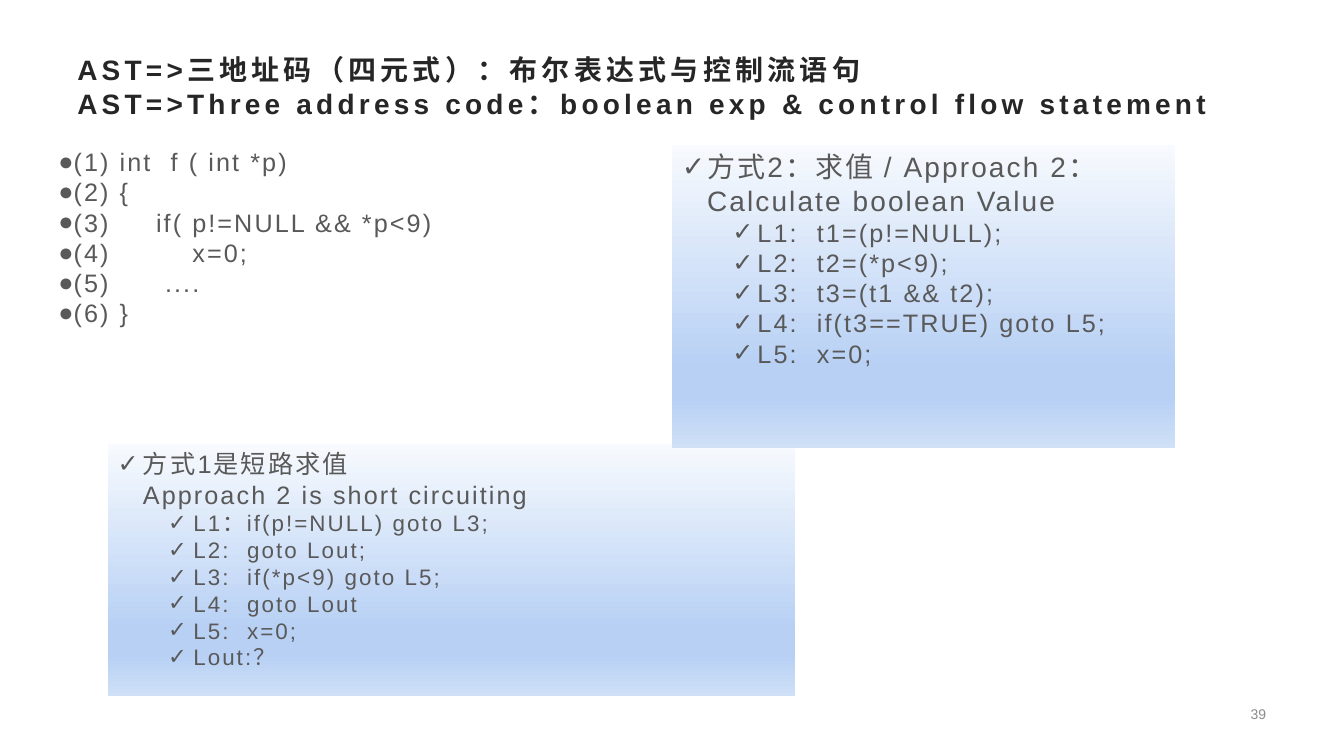
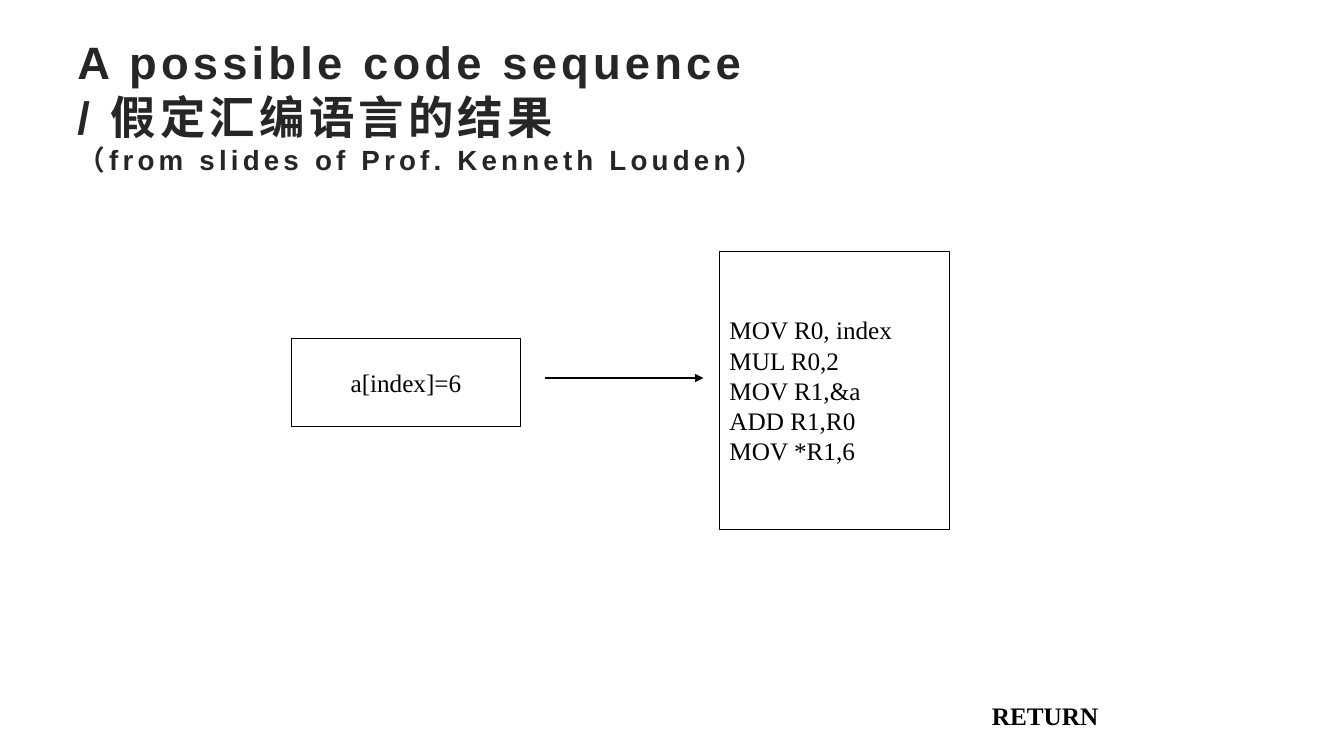
from copy import deepcopy
from dataclasses import dataclass
from typing import Optional

from lxml import etree
from pptx import Presentation
from pptx.dml.color import RGBColor
from pptx.enum.shapes import MSO_CONNECTOR, MSO_SHAPE
from pptx.enum.text import MSO_ANCHOR, MSO_AUTO_SIZE, PP_ALIGN
from pptx.oxml.ns import qn
from pptx.util import Pt

RECT, STRAIGHT = MSO_SHAPE.RECTANGLE, MSO_CONNECTOR.STRAIGHT
TOP, MIDDLE = MSO_ANCHOR.TOP, MSO_ANCHOR.MIDDLE
LEFT, CENTER, RIGHT = PP_ALIGN.LEFT, PP_ALIGN.CENTER, PP_ALIGN.RIGHT
NO_FIT = MSO_AUTO_SIZE.NONE

SANS, SERIF = "Arial", "Times New Roman"
BLACK, WHITE = "000000", "FFFFFF"
TITLE_INK, BODY_INK, NUMBER_INK = "262626", "595959", "8C8C8C"
PANEL_STOPS = [(0, "F7FAFE"), (74, "B7D0F4"), (83, "B7D0F4"), (100, "CFE0F7")]

# Character formats; spacing is in points
TITLE = {"name": SANS, "bold": True, "color": TITLE_INK, "spacing": 3}
BODY = {"name": SANS, "bold": False, "color": BODY_INK, "spacing": 1.5}
NUMBER = {"name": SANS, "color": NUMBER_INK}
DIAGRAM = {"name": SERIF, "color": BLACK}


@dataclass
class Box:
    left: float
    top: float
    width: float
    height: float

    def lengths(self) -> list:
        return [Pt(v) for v in (self.left, self.top, self.width, self.height)]


@dataclass
class Line:
    text: str
    size: float = 18
    bullet: Optional[str] = None
    margin: float = 0
    level: int = 0


@dataclass
class Panel:
    box: Box
    lines: list


def rgb(color: str) -> RGBColor:
    return RGBColor.from_string(color)


def add_run(p, text: str, size: float, fmt: dict):
    r = p.add_run()
    r.text = text
    r.font.size = Pt(size)
    for key, value in fmt.items():
        if key == "color":
            r.font.color.rgb = rgb(value)
        elif key == "spacing":
            r.font._element.set("spc", str(int(value * 100)))
        else:
            setattr(r.font, key, value)
    return r


def set_frame(tf, anchor=TOP, wrap: bool = True) -> None:
    frame = {"auto_size": NO_FIT, "word_wrap": wrap, "vertical_anchor": anchor,
             "margin_left": Pt(7.2), "margin_right": Pt(7.2),
             "margin_top": Pt(3.6), "margin_bottom": Pt(3.6)}
    for key, value in frame.items():
        setattr(tf, key, value)


def set_bullet(p, char: Optional[str], margin: float) -> None:
    pPr = p._p.get_or_add_pPr()
    pPr.set("marL", str(Pt(margin)))
    pPr.set("indent", str(Pt(-18 if char else 0)))
    if char:
        etree.SubElement(pPr, qn("a:buFont"), typeface=SANS)
        etree.SubElement(pPr, qn("a:buChar"), char=char)
    else:
        etree.SubElement(pPr, qn("a:buNone"))


def write(tf, lines: list, fmt: dict, align=LEFT) -> None:
    for i, line in enumerate(lines):
        p = tf.paragraphs[0] if i == 0 else tf.add_paragraph()
        set_bullet(p, line.bullet, line.margin)
        for key, value in {"level": line.level, "alignment": align,
                           "space_before": Pt(0)}.items():
            setattr(p, key, value)
        add_run(p, line.text, line.size, fmt)


def place(s, box: Box) -> None:
    for key, value in zip(("left", "top", "width", "height"), box.lengths()):
        setattr(s, key, value)


def add_title(slide, box: Box, lines: list, lift: float = 0) -> None:
    """One paragraph with line breaks; lift raises the centred text."""
    s = slide.shapes.title
    place(s, box)
    tf = s.text_frame
    set_frame(tf, MIDDLE)
    tf.margin_bottom = Pt(3.6 + 2 * lift)
    p = tf.paragraphs[0]
    p.alignment = LEFT
    for i, line in enumerate(lines):
        if i:
            p.add_line_break()
            p._p[-1].append(deepcopy(r.font._element))
        r = add_run(p, line.text, line.size, TITLE)


def add_text(slide, box: Box, line: Line, fmt: dict, anchor=TOP, align=LEFT) -> None:
    tf = slide.shapes.add_textbox(*box.lengths()).text_frame
    set_frame(tf, anchor)
    write(tf, [line], fmt, align)


def add_rect(slide, box: Box):
    s = slide.shapes.add_shape(RECT, *box.lengths())
    s.shadow.inherit = False
    return s


def add_panel(slide, panel: Panel) -> None:
    s = add_rect(slide, panel.box)
    s.line.fill.background()
    s.fill.gradient()
    s.fill.gradient_angle = 270
    stops = s._element.spPr.find(".//" + qn("a:gsLst"))
    for old in list(stops):
        stops.remove(old)
    for percent, color in PANEL_STOPS:
        gs = etree.SubElement(stops, qn("a:gs"), pos=str(percent * 1000))
        etree.SubElement(gs, qn("a:srgbClr"), val=color)
    set_frame(s.text_frame)
    write(s.text_frame, panel.lines, BODY)


def add_code_box(slide, box: Box, code: list, align) -> None:
    s = add_rect(slide, box)
    s.fill.solid()
    s.fill.fore_color.rgb = rgb(WHITE)
    s.line.color.rgb = rgb(BLACK)
    s.line.width = Pt(0.75)
    set_frame(s.text_frame, MIDDLE, wrap=False)
    write(s.text_frame, [Line(t) for t in code], DIAGRAM, align)


def add_arrow(slide, x1: float, x2: float, y: float) -> None:
    s = slide.shapes.add_connector(STRAIGHT, Pt(x1), Pt(y), Pt(x2), Pt(y))
    s.line.color.rgb = rgb(BLACK)
    s.line.width = Pt(0.75)
    etree.SubElement(s.line._get_or_add_ln(), qn("a:tailEnd"), type="triangle")
    etree.SubElement(s._element.spPr, qn("a:effectLst"))


def check(text: str, size: float) -> Line:
    return Line(text, size, "✓", 18)


def steps(texts: list, size: float) -> list:
    return [Line(t, size, "✓", 54, 1) for t in texts]


SOURCE_CODE = [
    "(1) int  f ( int *p)",
    "(2) {",
    "(3)     if( p!=NULL && *p<9)",
    "(4)         x=0;",
    "(5)      ....",
    "(6) }",
]

PANELS = [
    Panel(Box(77, 317, 491, 180.5), [
        check("方式1是短路求值", 18),
        Line("Approach 2 is short circuiting", 18, margin=18),
        *steps(["L1：if(p!=NULL) goto L3;", "L2:  goto Lout;",
                "L3:  if(*p<9) goto L5;", "L4:  goto Lout",
                "L5:  x=0;", "Lout:？"], 16),
    ]),
    Panel(Box(480, 103.5, 359.5, 216.5), [
        check("方式2：求值 / Approach 2：Calculate boolean Value", 20),
        *steps(["L1:  t1=(p!=NULL);", "L2:  t2=(*p<9);",
                "L3:  t3=(t1 && t2);", "L4:  if(t3==TRUE) goto L5;",
                "L5:  x=0;"], 18),
    ]),
]

ASSEMBLY = ["MOV R0, index", "MUL R0,2", "MOV R1,&a", "ADD R1,R0", "MOV *R1,6"]


def build_boolean_slide(prs) -> None:
    slide = prs.slides.add_slide(prs.slide_layouts[1])
    add_title(slide, Box(48, 19.5, 864, 84), [
        Line("AST=>三地址码（四元式）：布尔表达式与控制流语句", 20),
        Line("AST=>Three address code：boolean exp & control flow statement", 20),
    ])
    # Source listing
    body = slide.placeholders[1]
    place(body, Box(34.5, 101, 290, 158.5))
    set_frame(body.text_frame)
    write(body.text_frame, [Line(t, bullet="●") for t in SOURCE_CODE], BODY)
    # Slide number
    add_text(slide, Box(699, 497.5, 212.5, 25), Line("39", 10), NUMBER, MIDDLE, RIGHT)
    # The two translations
    for panel in PANELS:
        add_panel(slide, panel)


def build_assembly_slide(prs) -> None:
    slide = prs.slides.add_slide(prs.slide_layouts[5])
    add_title(slide, Box(48, 48, 864, 89.5), [
        Line("A possible code sequence", 32.4),
        Line("/ 假定汇编语言的结果", 32.4),
        Line("（from slides of Prof. Kenneth Louden）", 19.8),
    ], lift=17.5)
    # Statement, arrow and generated code
    add_code_box(slide, Box(208, 242, 164, 62.5), ["a[index]=6"], CENTER)
    add_code_box(slide, Box(514, 179.5, 164, 198.5), ASSEMBLY, LEFT)
    add_arrow(slide, 389.5, 502.5, 270)
    # Return label
    add_text(slide, Box(701.5, 497, 130.5, 29), Line("RETURN"), {**DIAGRAM, "bold": True})


def main() -> None:
    prs = Presentation()
    prs.slide_width, prs.slide_height = Pt(960), Pt(540)
    build_boolean_slide(prs)
    build_assembly_slide(prs)
    prs.save("out.pptx")


if __name__ == "__main__":
    main()
